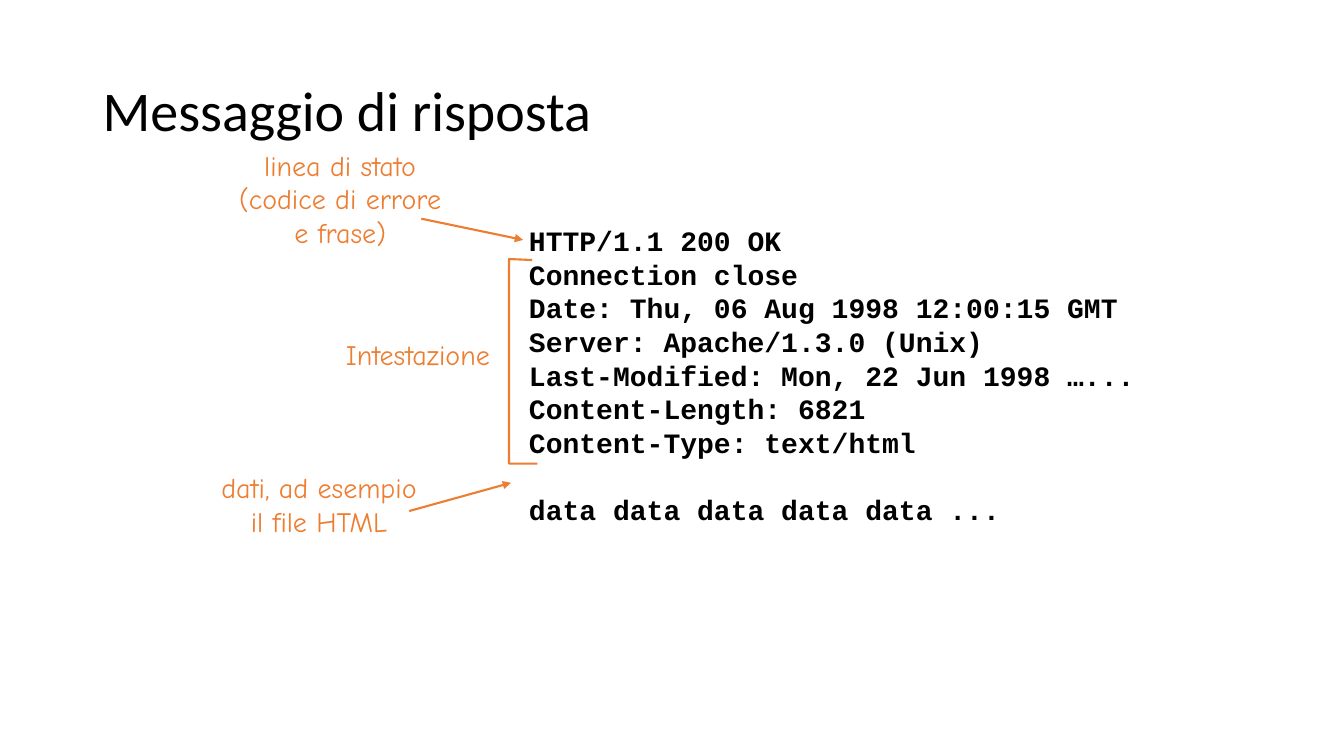
from dataclasses import dataclass

from lxml import etree
from pptx import Presentation
from pptx import util as u
from pptx.dml.color import RGBColor
from pptx.enum import shapes, text
from pptx.oxml import ns

CELL = u.Inches(1 / 3)  # grid square, as tall as one line of text
COLUMNS, ROWS = 40, 22.5
INSET_ROWS = 0.3  # top and bottom insets of a text box together

Point = tuple[float, float]  # column, row


@dataclass(frozen=True)
class Style:
    font: str
    size: int
    color: RGBColor
    bold: bool = False


@dataclass(frozen=True)
class Theme:
    accent = RGBColor(0xED, 0x7D, 0x31)
    ink = RGBColor(0, 0, 0)
    title = Style("Calibri", 40, ink)
    code = Style("Courier New", 20, ink, True)
    note = Style("Comic Neue", 20, accent)
    line_pitch = u.Pt(24)
    stroke = u.Pt(1.5)


THEME = Theme()


@dataclass(frozen=True)
class TextBlock:
    col: float
    row: float
    cols: float
    lines: tuple[str, ...]
    style: Style = THEME.note
    align: text.PP_ALIGN = text.PP_ALIGN.CENTER
    gap_before: int = -1  # index of the line set off by one empty row


@dataclass(frozen=True)
class Arrow:
    start: Point
    end: Point


TITLE = "Messaggio di risposta"

BLOCKS = (
    TextBlock(15.45, 6.51, 19.11, (
        "HTTP/1.1 200 OK",
        "Connection close",
        "Date: Thu, 06 Aug 1998 12:00:15 GMT",
        "Server: Apache/1.3.0 (Unix)",
        "Last-Modified: Mon, 22 Jun 1998 …...",
        "Content-Length: 6821",
        "Content-Type: text/html",
        "data data data data data ...",
    ), THEME.code, text.PP_ALIGN.LEFT, gap_before=7),
    TextBlock(6.54, 4.26, 7.17, ("linea di stato", "(codice di errore", "e frase)")),
    TextBlock(9.3, 9.9, 5.58, ("Intestazione",), align=text.PP_ALIGN.RIGHT),
    TextBlock(6.06, 13.86, 6.87, ("dati, ad esempio", "il file HTML")),
)

ARROWS = (
    Arrow((12.54, 6.51), (15.57, 7.14)),
    Arrow((12.18, 15.21), (15.21, 14.37)),
)

HEADER_BRACKET = ((15.84, 7.74), (15.15, 7.71), (15.15, 13.8), (15.99, 13.8))


def cells(*counts: float) -> list[u.Emu]:
    """Turn grid counts into slide lengths."""
    return [u.Emu(round(count * CELL)) for count in counts]


def add_styled_run(paragraph, words: str, style: Style) -> None:
    run = paragraph.add_run()
    run.text = words
    run.font.name = style.font
    run.font.size = u.Pt(style.size)
    run.font.bold = style.bold
    run.font.color.rgb = style.color


def add_title(slide) -> None:
    frame = slide.shapes.add_textbox(*cells(2.76, 1.2, 34.5, 4.35)).text_frame
    frame.word_wrap = True
    frame.vertical_anchor = text.MSO_ANCHOR.MIDDLE
    heading = frame.paragraphs[0]
    heading.line_spacing = 0.9
    add_styled_run(heading, TITLE, THEME.title)


def add_block(slide, block: TextBlock) -> None:
    rows = len(block.lines) + (block.gap_before >= 0) + INSET_ROWS
    frame = slide.shapes.add_textbox(
        *cells(block.col, block.row, block.cols, rows)).text_frame
    frame.word_wrap = False
    frame.auto_size = text.MSO_AUTO_SIZE.SHAPE_TO_FIT_TEXT
    for index, words in enumerate(block.lines):
        paragraph = frame.paragraphs[0] if index == 0 else frame.add_paragraph()
        paragraph.alignment = block.align
        paragraph.line_spacing = THEME.line_pitch
        if index == block.gap_before:
            paragraph.space_before = THEME.line_pitch
        add_styled_run(paragraph, words, block.style)


def set_stroke(line) -> None:
    line.color.rgb = THEME.accent
    line.width = THEME.stroke


def add_arrow(slide, arrow: Arrow) -> None:
    connector = slide.shapes.add_connector(
        shapes.MSO_CONNECTOR.STRAIGHT, *cells(*arrow.start, *arrow.end))
    set_stroke(connector.line)
    etree.SubElement(connector.line._get_or_add_ln(), ns.qn("a:tailEnd"), type="triangle")
    etree.SubElement(connector._element.spPr, ns.qn("a:effectLst"))


def add_bracket(slide, points: tuple[Point, ...]) -> None:
    first, *rest = (cells(*point) for point in points)
    outline = slide.shapes.build_freeform(*first)
    outline.add_line_segments(rest, close=False)
    bracket = outline.convert_to_shape()
    bracket.fill.background()
    bracket.shadow.inherit = False
    set_stroke(bracket.line)


def main() -> None:
    deck = Presentation()
    deck.slide_width, deck.slide_height = cells(COLUMNS, ROWS)
    slide = deck.slides.add_slide(deck.slide_layouts[6])
    add_title(slide)
    for block in BLOCKS:
        add_block(slide, block)
    for arrow in ARROWS:
        add_arrow(slide, arrow)
    add_bracket(slide, HEADER_BRACKET)
    deck.save("out.pptx")


if __name__ == "__main__":
    main()
